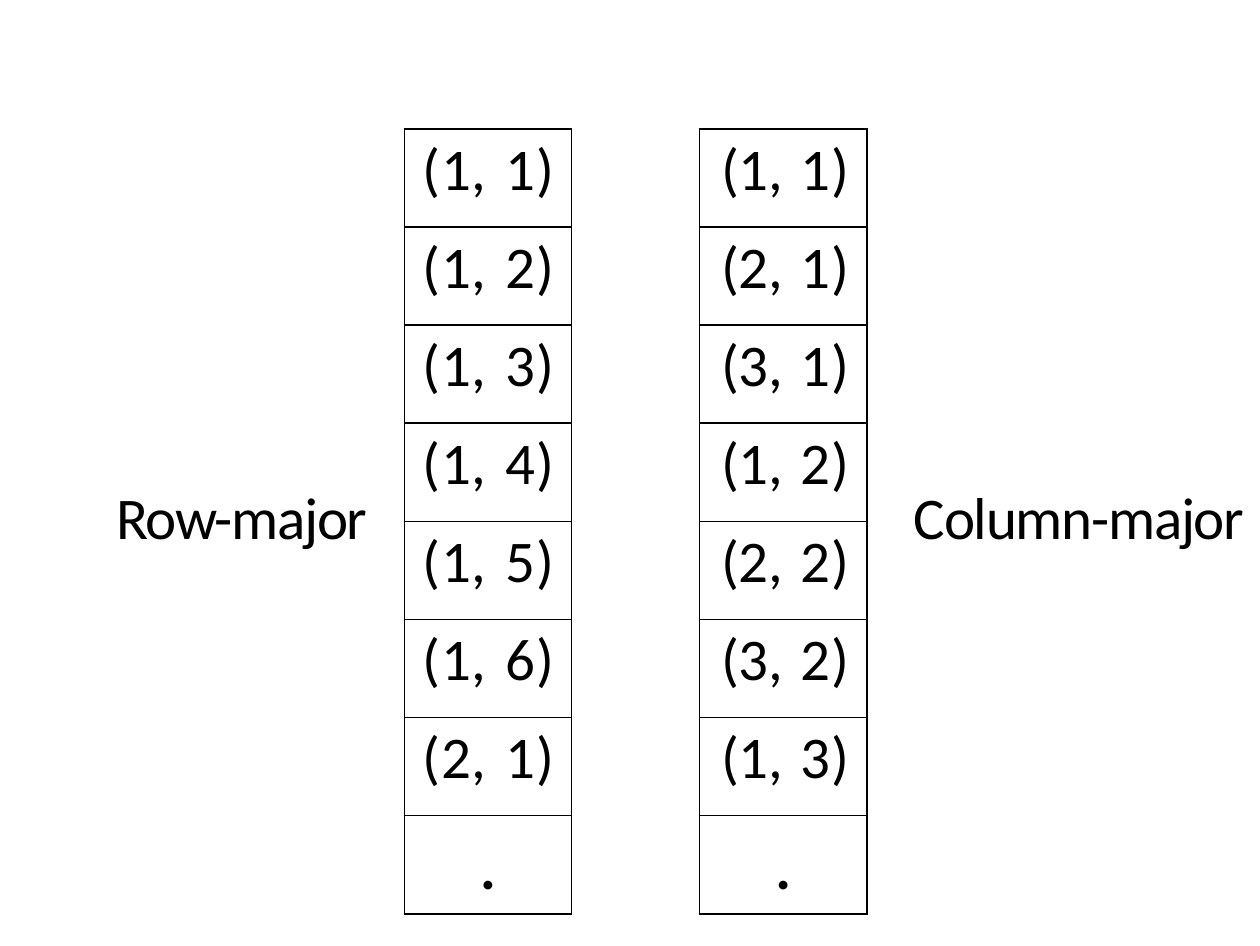
"""Build a slide comparing row-major and column-major storage order."""
import pptx
import pptx.dml.color
import pptx.enum.text
import pptx.oxml
import pptx.oxml.ns
import pptx.util

Cm, Pt = pptx.util.Cm, pptx.util.Pt
ALIGN = pptx.enum.text.PP_ALIGN
BLACK = "000000"


def write(frame, text, align, indent, space_before, spacing, bold=False):
    """Put one formatted line of text into a frame, indented from its aligned side."""
    frame.text = text
    line = frame.paragraphs[0]
    line.alignment = align
    line.space_before = Pt(space_before)
    margin = "marR" if align == ALIGN.RIGHT else "marL"
    line._p.get_or_add_pPr().set(margin, str(Cm(indent)))
    font = line.runs[0].font
    font.name, font.size, font.bold = "Calibri", Pt(17), bold
    font.color.rgb = pptx.dml.color.RGBColor.from_string(BLACK)
    font._element.set("spc", str(round(spacing * 100)))


def draw_borders(cell, sides):
    """Rule the given sides of a cell and leave the others open."""
    cell.fill.background()
    properties = cell._tc.get_or_add_tcPr()
    for position, side in enumerate("LRTB"):
        paint = "<a:noFill/>"
        if side in sides:
            paint = f'<a:solidFill><a:srgbClr val="{BLACK}"/></a:solidFill>'
        properties.insert(position, pptx.oxml.parse_xml(
            f'<a:ln{side} {pptx.oxml.ns.nsdecls("a")} w="{Pt(0.5)}">{paint}</a:ln{side}>'))


presentation = pptx.Presentation()
presentation.slide_width, presentation.slide_height = Pt(363), Pt(272.5)
slide = presentation.slides.add_slide(presentation.slide_layouts[6])

row_major = [(1, column) for column in range(1, 7)] + [(2, 1)]
column_major = [(row, column) for column in (1, 2) for row in (1, 2, 3)] + [(1, 3)]
orders = [
    ("Row-major", row_major, 4.11, ALIGN.CENTER, 0.08, 0.1, 1.15, 2.64, -0.4),
    ("Column-major", column_major, 7.11, ALIGN.RIGHT, 0.09, -0.1, 9.26, 3.43, -0.4),
]

for (name, entries, memory_left, row_align, row_indent, row_spacing,
     label_left, label_width, label_spacing) in orders:
    memory = slide.shapes.add_table(
        len(entries) + 1, 2, Cm(memory_left), Cm(1.31), Cm(1.7), Cm(7.98)).table
    memory.first_row = memory.horz_banding = False
    memory.columns[0].width, memory.columns[1].width = Cm(0.94), Cm(0.76)
    for cell in memory.iter_cells():
        cell.margin_left = cell.margin_right = cell.margin_bottom = 0
        cell.margin_top = Cm(0.05)

    for position, (row, column) in enumerate(entries):
        row_cell, column_cell = memory.cell(position, 0), memory.cell(position, 1)
        write(row_cell.text_frame, f"({row},", row_align, row_indent, 1.4, row_spacing)
        write(column_cell.text_frame, f"{column})", ALIGN.LEFT, 0.09, 1.4, 0.2)
        draw_borders(row_cell, "LTB")
        draw_borders(column_cell, "RTB")

    remainder = memory.cell(len(entries), 0)
    remainder.merge(memory.cell(len(entries), 1))
    remainder.margin_top = Cm(0.18)
    write(remainder.text_frame, ".", ALIGN.CENTER, 0, 4.7, 0, bold=True)
    draw_borders(remainder, "LRTB")
    draw_borders(memory.cell(len(entries), 1), "RTB")

    label = slide.shapes.add_textbox(
        Cm(label_left), Cm(4.83), Cm(label_width), Cm(0.81)).text_frame
    label.word_wrap = True
    label.auto_size = pptx.enum.text.MSO_AUTO_SIZE.SHAPE_TO_FIT_TEXT
    label.margin_left = label.margin_right = label.margin_bottom = 0
    label.margin_top = Cm(0.05)
    write(label, name, ALIGN.LEFT, 0.03, 1.2, label_spacing)

presentation.save("out.pptx")
